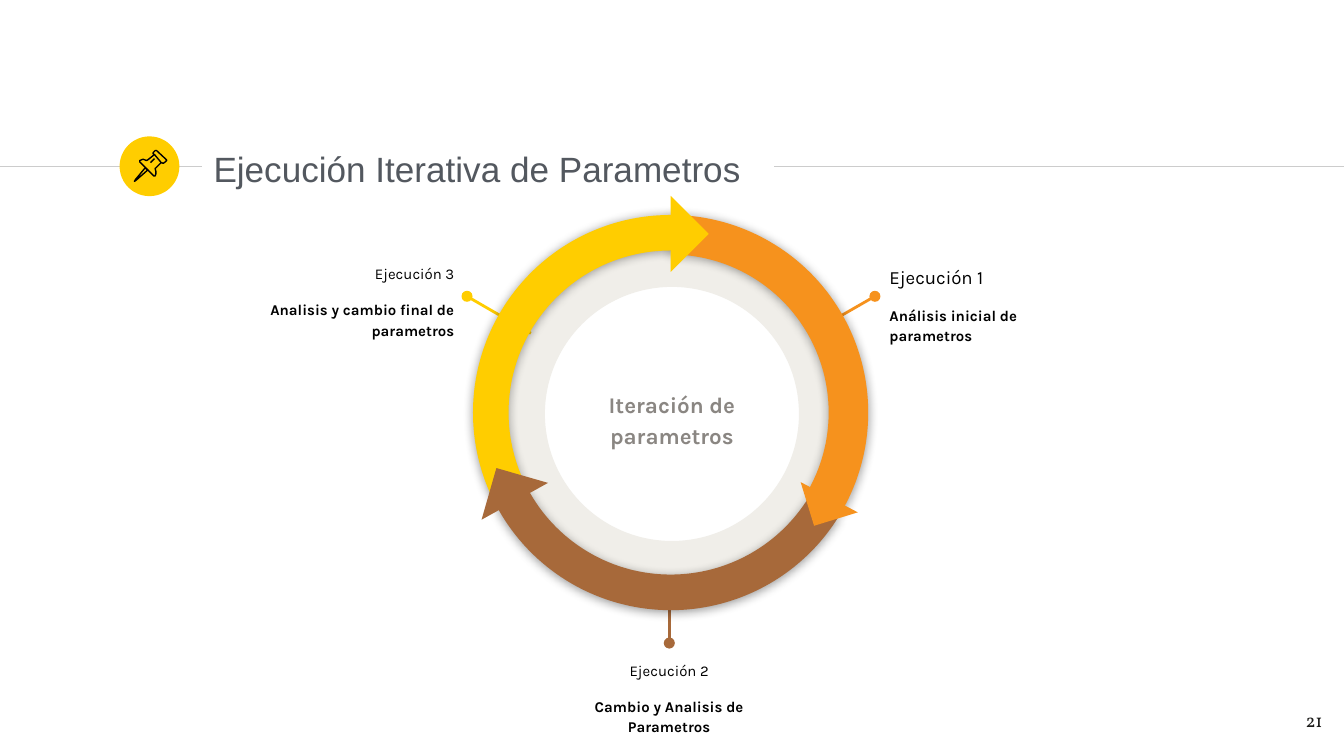
"""Build the slide showing the three-step cycle of parameter iteration."""
from dataclasses import dataclass

from lxml import etree
from pptx import Presentation
from pptx import util as u
from pptx.dml.color import RGBColor
from pptx.enum import shapes, text
from pptx.oxml import ns
from pptx.shapes.autoshape import Shape
from pptx.shapes.shapetree import SlideShapes

EMU_PER_PX = 4572
Point = tuple[int, int]
Box = tuple[int, int, int, int]


@dataclass(frozen=True)
class Theme:
    yellow: str = "FFCD00"
    orange: str = "F6921D"
    brown: str = "A7693A"
    rule: str = "CCCCCC"
    ring: str = "F0EEE9"
    title: str = "53585F"
    hub: str = "8A8682"
    number: str = "1D1D1B"
    ink: str = "000000"
    title_font: str = "Arial"
    body_font: str = "Karla"
    number_font: str = "Vollkorn"
    title_size: float = 18.8
    hub_size: float = 12
    large_size: float = 10
    small_size: float = 8
    thin: float = 0.75
    thick: float = 1.5
    spacing: float = 1.15
    heading_gap: float = 8.5


THEME = Theme()
ALIGN = text.PP_ALIGN
KIND = shapes.MSO_SHAPE


@dataclass(frozen=True)
class Line:
    wording: str
    size: float
    color: str = THEME.ink
    font: str = THEME.body_font
    bold: bool = False


@dataclass(frozen=True)
class Step:
    heading: Line
    detail: str
    box: Box
    align: text.PP_ALIGN
    dot: Point
    rim: Point
    color: str


@dataclass(frozen=True)
class Arc:
    color: str
    rotation: int
    adjustments: tuple[float, float, float]
    flipped: bool


@dataclass(frozen=True)
class Tip:
    color: str
    center: Point
    side: int
    rotation: float


@dataclass(frozen=True)
class Stroke:
    points: tuple[Point, ...]
    closed: bool


def px(length: int) -> u.Emu:
    return u.Emu(length * EMU_PER_PX)


def rgb(color: str) -> RGBColor:
    return RGBColor.from_string(color)


def add_filled(tree: SlideShapes, kind: shapes.MSO_SHAPE, box: Box, color: str) -> Shape:
    filled = tree.add_shape(kind, *map(px, box))
    filled.shadow.inherit = False
    filled.fill.solid()
    filled.fill.fore_color.rgb = rgb(color)
    filled.line.fill.background()
    return filled


def add_line(tree: SlideShapes, start: Point, end: Point, color: str,
             width: float, dotted_start: bool = False) -> None:
    rule = tree.add_connector(shapes.MSO_CONNECTOR.STRAIGHT, *map(px, start + end))
    rule.line.color.rgb = rgb(color)
    rule.line.width = u.Pt(width)
    properties = rule._element.spPr
    if dotted_start:
        etree.SubElement(properties.find(ns.qn("a:ln")), ns.qn("a:headEnd"), type="oval")
    etree.SubElement(properties, ns.qn("a:effectLst"))


def add_text(tree: SlideShapes, box: Box, lines: list[Line],
             align: text.PP_ALIGN = ALIGN.LEFT, middle: bool = False,
             spacing: float = 1.0) -> None:
    frame = tree.add_textbox(*map(px, box)).text_frame
    frame.word_wrap = True
    frame.margin_left = frame.margin_right = px(20)
    frame.margin_top = frame.margin_bottom = px(20)
    frame.vertical_anchor = text.MSO_ANCHOR.MIDDLE if middle else text.MSO_ANCHOR.TOP
    for index, line in enumerate(lines):
        paragraph = frame.add_paragraph() if index else frame.paragraphs[0]
        paragraph.alignment = align
        paragraph.line_spacing = spacing
        paragraph.space_before = u.Pt(THEME.heading_gap if index else 0)
        run = paragraph.add_run()
        run.text = line.wording
        run.font.name = line.font
        run.font.size = u.Pt(line.size)
        run.font.bold = line.bold
        run.font.color.rgb = rgb(line.color)


def add_stroke(tree: SlideShapes, stroke: Stroke) -> None:
    builder = tree.build_freeform(*stroke.points[0], scale=EMU_PER_PX)
    builder.add_line_segments(stroke.points[1:], close=stroke.closed)
    outline = builder.convert_to_shape()
    outline.shadow.inherit = False
    outline.fill.background()
    outline.line.color.rgb = rgb(THEME.ink)
    outline.line.width = u.Pt(THEME.thin)


def add_step(tree: SlideShapes, step: Step) -> None:
    add_line(tree, step.dot, step.rim, step.color, THEME.thick, dotted_start=True)
    detail = Line(step.detail, THEME.small_size, bold=True)
    add_text(tree, step.box, [step.heading, detail], step.align, spacing=THEME.spacing)


def add_arc(tree: SlideShapes, arc: Arc) -> None:
    band = add_filled(tree, KIND.BLOCK_ARC, (704, 320, 588, 588), arc.color)
    band.rotation = arc.rotation
    for index, value in enumerate(arc.adjustments):
        band.adjustments[index] = value
    properties = band._element.spPr
    if arc.flipped:
        properties.find(ns.qn("a:xfrm")).set("flipH", "1")
    shadow = etree.SubElement(
        properties.find(ns.qn("a:effectLst")), ns.qn("a:outerShdw"),
        blurRad=str(u.Pt(5.6)), dist=str(u.Pt(0.8)), dir="5400000", rotWithShape="0")
    shade = etree.SubElement(shadow, ns.qn("a:srgbClr"), val=THEME.ink)
    etree.SubElement(shade, ns.qn("a:alpha"), val="40000")


def add_tip(tree: SlideShapes, tip: Tip) -> None:
    left, top = (middle - tip.side // 2 for middle in tip.center)
    head = add_filled(tree, KIND.RIGHT_TRIANGLE, (left, top, tip.side, tip.side), tip.color)
    head.rotation = tip.rotation


PIN = (
    Stroke(((216, 250), (202, 267), (200, 270), (203, 268), (220, 253)), True),
    Stroke(((230, 230), (240, 242), (243, 243), (246, 241), (248, 239), (248, 238),
            (233, 224), (231, 224), (228, 227), (228, 229)), True),
    Stroke(((230, 230), (220, 238), (218, 239), (213, 237), (208, 239), (208, 241),
            (229, 262), (231, 262), (232, 259), (232, 255), (231, 251), (240, 242)), False),
    Stroke(((224, 242), (230, 236)), False),
)
STEPS = (
    Step(Line("Ejecución 3", THEME.small_size), "Analisis y cambio final de parametros",
         (368, 370, 328, 146), ALIGN.RIGHT, (695, 441), (790, 496), THEME.yellow),
    Step(Line("Ejecución 1", THEME.large_size), "Análisis inicial de parametros",
         (1304, 370, 328, 146), ALIGN.LEFT, (1302, 441), (1206, 496), THEME.orange),
    Step(Line("Ejecución 2", THEME.small_size), "Cambio y Analisis de Parametros",
         (832, 960, 328, 146), ALIGN.CENTER, (996, 957), (996, 856), THEME.brown),
)
CYCLE = (
    Arc(THEME.orange, 30, (144.14, 0.01, 0.1), False),
    Arc(THEME.yellow, 330, (143.49, 214.73, 0.09), True),
    Tip(THEME.yellow, (998, 348), 80, 225),
    Arc(THEME.brown, 210, (143.16, 215.03, 0.09), True),
    Tip(THEME.orange, (1234, 740), 68, 342.9),
    Tip(THEME.brown, (766, 746), 80, 106),
)


def main() -> None:
    deck = Presentation()
    deck.slide_width, deck.slide_height = px(2000), px(1125)
    tree = deck.slides.add_slide(deck.slide_layouts[6]).shapes
    add_line(tree, (0, 248), (300, 248), THEME.rule, THEME.thin)
    add_filled(tree, KIND.OVAL, (178, 203, 89, 89), THEME.yellow)
    add_line(tree, (1152, 248), (2000, 248), THEME.rule, THEME.thin)
    add_text(tree, (298, 202, 850, 96),
             [Line("Ejecución Iterativa de Parametros", THEME.title_size,
                   THEME.title, THEME.title_font)], middle=True)
    for stroke in PIN:
        add_stroke(tree, stroke)
    add_text(tree, (1868, 1038, 120, 86),
             [Line("21", THEME.large_size, THEME.number, THEME.number_font)], ALIGN.RIGHT)
    ring = add_filled(tree, KIND.DONUT, (722, 338, 556, 556), THEME.ring)
    ring.adjustments[0] = 0.16
    for step in STEPS:
        add_step(tree, step)
    add_text(tree, (842, 534, 316, 176),
             [Line("Iteración de parametros", THEME.hub_size, THEME.hub, bold=True)],
             ALIGN.CENTER, middle=True, spacing=THEME.spacing)
    for part in CYCLE:
        if isinstance(part, Arc):
            add_arc(tree, part)
        else:
            add_tip(tree, part)
    deck.save("out.pptx")


if __name__ == "__main__":
    main()
